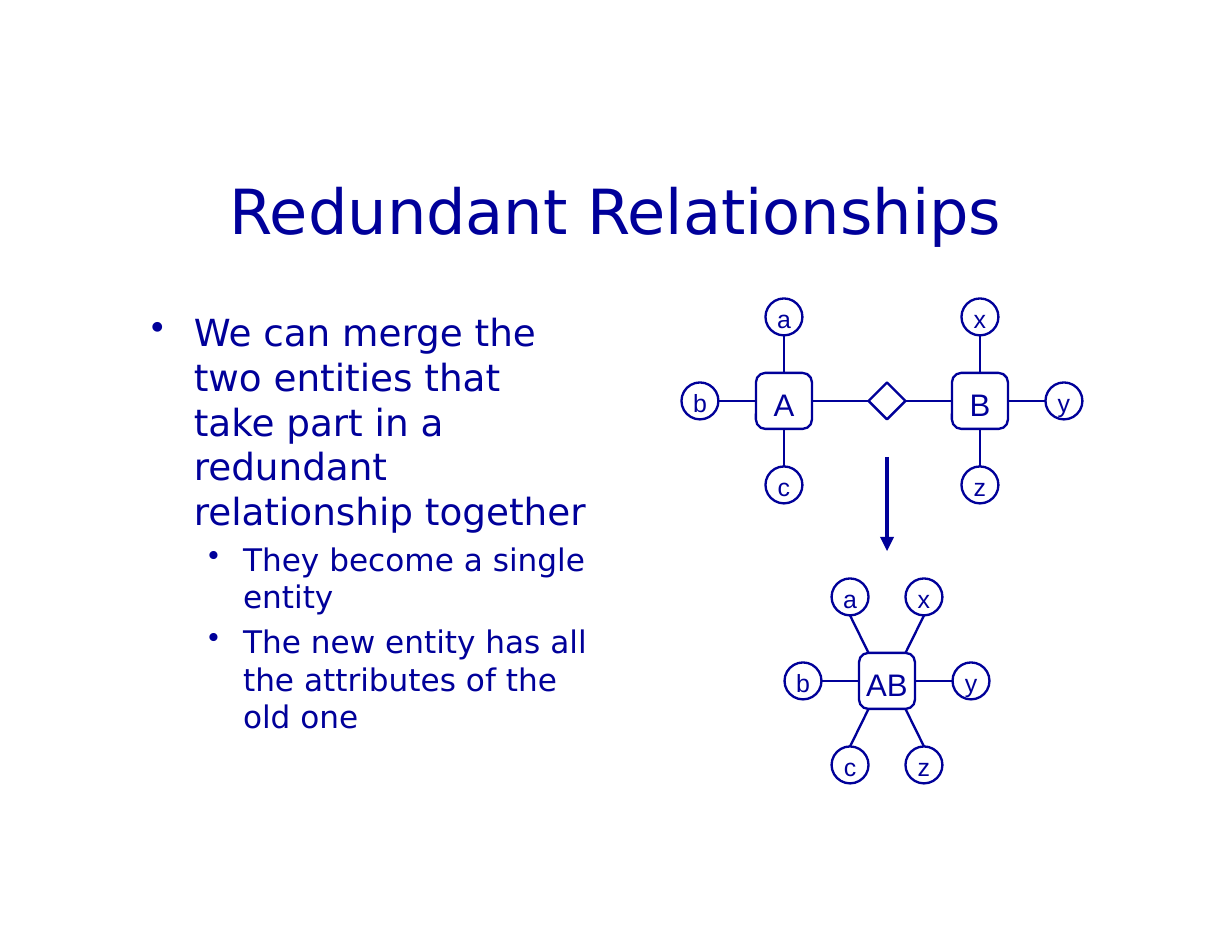
from lxml.etree import SubElement
from pptx import Presentation
from pptx.dml.color import RGBColor
from pptx.enum.shapes import MSO_CONNECTOR, MSO_SHAPE
from pptx.enum.text import MSO_ANCHOR, MSO_AUTO_SIZE, PP_ALIGN
from pptx.oxml.ns import qn
from pptx.util import Inches, Pt

TEXT_BLUE, LINE_BLUE = "00009A", "000099"
ENTITY_SIZE, ATTRIBUTE_SIZE = 0.5, 0.33
TOP, LEFT, BOTTOM, RIGHT = range(4)


def rgb(value):
    """Turn a hex string into a colour."""
    return RGBColor.from_string(value)


class Diagram:
    """Draws styled elements on one slide."""

    def __init__(self, slide):
        """Keep the slide and its style."""
        self.slide = slide
        self.text_font = "DejaVu Sans"
        self.label_font = "Arial"

    def set_font(self, paragraph, name, size):
        """Set the face, size and colour of a paragraph."""
        font = paragraph.font
        font.name, font.size = name, Pt(size)
        font.color.rgb = rgb(TEXT_BLUE)

    def clear_frame(self, frame, wrap=True, top=0):
        """Strip the insets and fix the wrapping of a text frame."""
        frame.margin_left = frame.margin_right = frame.margin_bottom = 0
        frame.margin_top = Inches(top)
        frame.word_wrap = wrap
        frame.auto_size = MSO_AUTO_SIZE.NONE

    def title(self, text, left, top, width, height):
        """Place and format the slide title."""
        title = self.slide.shapes.title
        title.left, title.top = Inches(left), Inches(top)
        title.width, title.height = Inches(width), Inches(height)
        frame = title.text_frame
        self.clear_frame(frame)
        frame.vertical_anchor = MSO_ANCHOR.TOP
        paragraph = frame.paragraphs[0]
        paragraph.text = text
        paragraph.alignment = PP_ALIGN.LEFT
        paragraph.line_spacing = Pt(47.9)
        self.set_font(paragraph, self.text_font, 40)

    def bullets(self, items, left, top, width, height):
        """Write a two-level bulleted list."""
        box = self.slide.shapes.add_textbox(
            Inches(left), Inches(top), Inches(width), Inches(height))
        frame = box.text_frame
        self.clear_frame(frame)
        for index, (level, text) in enumerate(items):
            paragraph = frame.add_paragraph() if index else frame.paragraphs[0]
            paragraph.text = text
            paragraph.level = level
            size, margin, hanging = ((24, 0.39, 0.38), (20, 0.83, 0.31))[level]
            paragraph.line_spacing = Pt(size * 1.2)
            if index:
                paragraph.space_before = Pt(4.75)
            properties = paragraph._p.get_or_add_pPr()
            properties.set("marL", str(Inches(margin)))
            properties.set("indent", str(-Inches(hanging)))
            SubElement(properties, qn("a:buChar")).set("char", "•")
            self.set_font(paragraph, self.text_font, size)

    def node(self, kind, x, y, size, text="", font_size=16, drop=0.03):
        """Draw an outlined node centred on a point."""
        node = self.slide.shapes.add_shape(
            kind, Inches(x - size / 2), Inches(y - size / 2), Inches(size), Inches(size))
        node.shadow.inherit = False
        node.fill.background()
        node.line.color.rgb = rgb(LINE_BLUE)
        node.line.width = Pt(1.5)
        if text:
            frame = node.text_frame
            self.clear_frame(frame, wrap=False, top=drop)
            frame.vertical_anchor = MSO_ANCHOR.MIDDLE
            paragraph = frame.paragraphs[0]
            paragraph.text = text
            paragraph.alignment = PP_ALIGN.CENTER
            self.set_font(paragraph, self.label_font, font_size)
        return node

    def line(self, x1, y1, x2, y2, width=1.5):
        """Draw a straight line between two points."""
        line = self.slide.shapes.add_connector(
            MSO_CONNECTOR.STRAIGHT, Inches(x1), Inches(y1), Inches(x2), Inches(y2))
        line.line.color.rgb = rgb(LINE_BLUE)
        line.line.width = Pt(width)
        SubElement(line._element.spPr, qn("a:effectLst"))
        return line

    def arrow(self, x1, y1, x2, y2):
        """Draw a thick line with an arrowhead at its end."""
        arrow = self.line(x1, y1, x2, y2, 3)
        SubElement(arrow.line._get_or_add_ln(), qn("a:tailEnd")).set("type", "triangle")

    def entity(self, text, x, y, attributes):
        """Draw an entity with its attributes at offsets around it."""
        entity = self.node(MSO_SHAPE.ROUNDED_RECTANGLE, x, y, ENTITY_SIZE, text, 20, 0.06)
        half, radius = ENTITY_SIZE / 2, ATTRIBUTE_SIZE / 2
        for letter, dx, dy in attributes:
            self.node(MSO_SHAPE.OVAL, x + dx, y + dy, ATTRIBUTE_SIZE, letter)
            if dy == 0:
                side, sign = (RIGHT, 1) if dx > 0 else (LEFT, -1)
                ends = x + dx - sign * radius, y, x + sign * half, y
            else:
                side, sign = (BOTTOM, 1) if dy > 0 else (TOP, -1)
                ends = x + dx, y + dy - sign * radius, x + dx / 2, y + sign * half
            link = self.line(*ends)
            if dx == 0 or dy == 0:
                link.end_connect(entity, side)
        return entity

    def relationship(self, x, y, first, second):
        """Join two entities through a diamond."""
        diamond = self.node(MSO_SHAPE.DIAMOND, x, y, ATTRIBUTE_SIZE)
        for start, end in ((first, diamond), (diamond, second)):
            link = self.line(x, y, x, y)
            link.begin_connect(start, RIGHT)
            link.end_connect(end, LEFT)


def main():
    """Build the slide and save it."""
    deck = Presentation()
    deck.slide_width, deck.slide_height = Inches(11), Inches(8.5)
    diagram = Diagram(deck.slides.add_slide(deck.slide_layouts[5]))

    diagram.title("Redundant Relationships", 2.05, 1.54, 7.51, 0.58)
    diagram.bullets([
        (0, "We can merge the two entities that take part in a redundant "
            "relationship together"),
        (1, "They become a single entity"),
        (1, "The new entity has all the attributes of the old one"),
    ], 1.34, 2.76, 3.92, 3.76)

    reach, spread, middle, upper, lower = 0.75, 0.33, 7.92, 3.58, 6.08
    entity_a = diagram.entity(
        "A", 7, upper, [("a", 0, -reach), ("b", -reach, 0), ("c", 0, reach)])
    entity_b = diagram.entity(
        "B", 8.75, upper, [("x", 0, -reach), ("y", reach, 0), ("z", 0, reach)])
    diagram.relationship(middle, upper, entity_a, entity_b)
    diagram.arrow(middle, 4.08, middle, 4.92)
    diagram.entity("AB", middle, lower, [
        ("a", -spread, -reach), ("b", -reach, 0), ("c", -spread, reach),
        ("x", spread, -reach), ("y", reach, 0), ("z", spread, reach)])

    deck.save("out.pptx")


if __name__ == "__main__":
    main()
